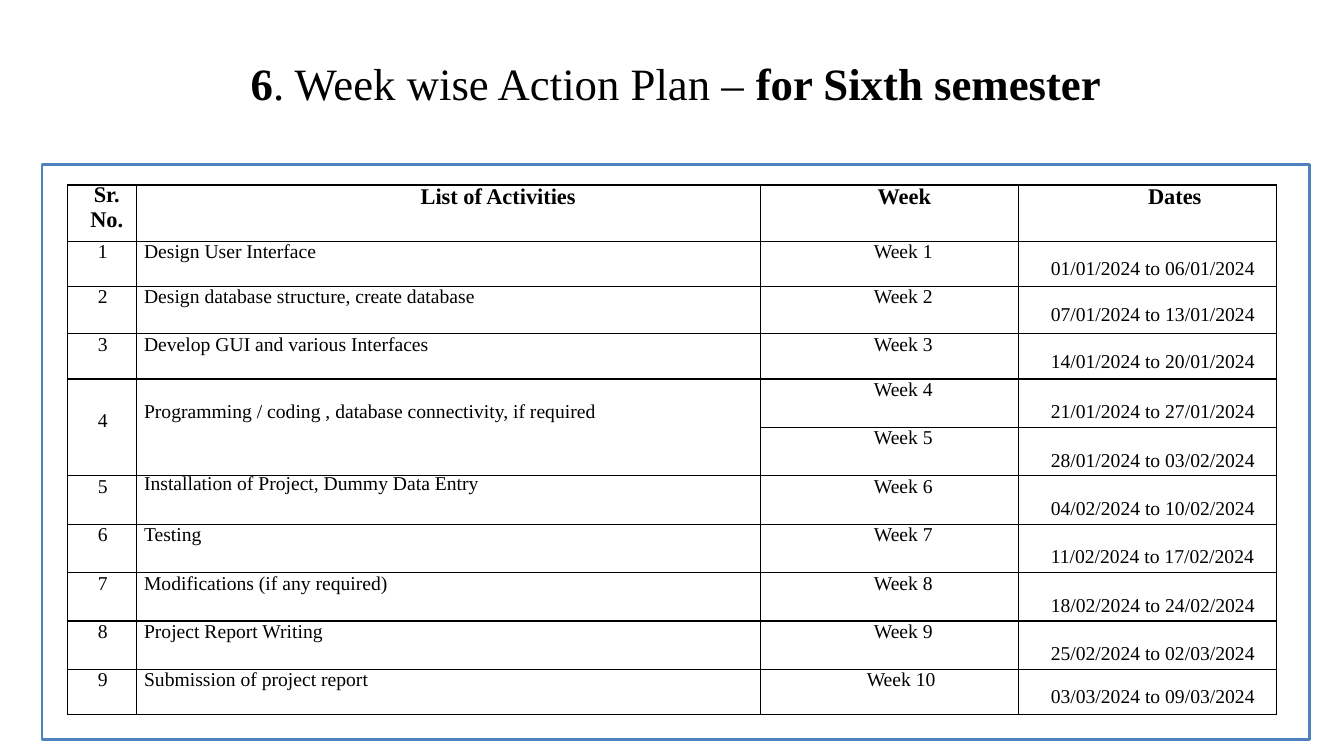
from lxml import etree
from pptx import Presentation, util as u
from pptx.dml.color import RGBColor
from pptx.enum import shapes, text
from pptx.oxml.ns import qn

BLACK = RGBColor(0, 0, 0)
BLUE = RGBColor(0x4F, 0x81, 0xBD)
FONT = "Times New Roman"
LEFT, CENTER = text.PP_ALIGN.LEFT, text.PP_ALIGN.CENTER

HEADERS = [("Sr.\nNo.", 0.23), ("List of Activities", 2.49),
           ("Week", 0.74), ("Dates", 1.37)]
ACTIVITIES = [
    "Design User Interface",
    "Design database structure, create database",
    "Develop GUI and various Interfaces",
    "Programming / coding , database connectivity, if required",
    "",
    "Installation of Project, Dummy Data Entry",
    "Testing",
    "Modifications (if any required)",
    "Project Report Writing",
    "Submission of project report",
]
DATES = [
    "01/01/2024 to 06/01/2024", "07/01/2024 to 13/01/2024",
    "14/01/2024 to 20/01/2024", "21/01/2024 to 27/01/2024",
    "28/01/2024 to 03/02/2024", "04/02/2024 to 10/02/2024",
    "11/02/2024 to 17/02/2024", "18/02/2024 to 24/02/2024",
    "25/02/2024 to 02/03/2024", "03/03/2024 to 09/03/2024",
]
COLUMNS = [1.75, 15.72, 6.5, 6.5]
ROWS = [1.42, 1.14, 1.19, 1.14] + [1.22] * 6 + [1.14]
SPLIT_ROW = 4


def add_run(p, words, size, bold=False):
    r = p.add_run()
    r.text = words
    r.font.name = FONT
    r.font.size = u.Pt(size)
    r.font.bold = bold
    r.font.color.rgb = BLACK


def add_title(s, x, y, w, h):
    tf = s.shapes.add_textbox(u.Cm(x), u.Cm(y), u.Cm(w), u.Cm(h)).text_frame
    tf.word_wrap = True
    tf.vertical_anchor = text.MSO_ANCHOR.MIDDLE
    p = tf.paragraphs[0]
    p.alignment = CENTER
    add_run(p, "6", 32, True)
    add_run(p, ". Week wise Action Plan – ", 32)
    add_run(p, "for Sixth semester", 32, True)


def add_borders(cell):
    tcPr = cell._tc.get_or_add_tcPr()
    for i, side in enumerate(("a:lnL", "a:lnR", "a:lnT", "a:lnB")):
        ln = etree.Element(qn(side), w=str(u.Pt(1)))
        fill = etree.SubElement(ln, qn("a:solidFill"))
        etree.SubElement(fill, qn("a:srgbClr"), val=str(BLACK))
        tcPr.insert(i, ln)


def fill_cell(cell, words, size, align, left=0, top=0, bold=False, spacing=None):
    cell.margin_left, cell.margin_top = u.Cm(left), u.Cm(top)
    cell.margin_right = cell.margin_bottom = 0
    tf = cell.text_frame
    for i, line in enumerate(words.split("\n")):
        p = tf.add_paragraph() if i else tf.paragraphs[0]
        p.alignment = align
        if spacing and i == 0:
            p.line_spacing = u.Pt(spacing)
        add_run(p, line, size, bold)


def add_plan_table(s, x, y, w, h):
    tbl = s.shapes.add_table(len(ROWS), len(COLUMNS), u.Cm(x), u.Cm(y),
                             u.Cm(w), u.Cm(h)).table
    tbl.first_row = tbl.horz_banding = False
    for col, width in zip(tbl.columns, COLUMNS):
        col.width = u.Cm(width)
    for row, height in zip(tbl.rows, ROWS):
        row.height = u.Cm(height)
    for cell in tbl.iter_cells():
        cell.fill.background()
        add_borders(cell)
    for c in (0, 1):
        tbl.cell(SPLIT_ROW, c).merge(tbl.cell(SPLIT_ROW + 1, c))

    for c, (words, left) in enumerate(HEADERS):
        fill_cell(tbl.cell(0, c), words, 16, CENTER, left, bold=True,
                  spacing=16.1 if c == 0 else None)

    number = 0
    for week, (activity, dates) in enumerate(zip(ACTIVITIES, DATES), 1):
        split = week == SPLIT_ROW
        if activity:
            number += 1
            fill_cell(tbl.cell(week, 0), str(number), 14, CENTER, 0.03,
                      0.79 if split else 0)
            fill_cell(tbl.cell(week, 1), activity, 14, LEFT, 0.18,
                      0.56 if split else 0,
                      spacing=13.9 if activity.startswith("Installation") else None)
        fill_cell(tbl.cell(week, 2), f"Week {week}", 14, CENTER,
                  0.58 if week == 10 else 0.69)
        fill_cell(tbl.cell(week, 3), dates, 14, LEFT, 0.81,
                  0.56 if ROWS[week] == 1.22 else 0.43)


def add_plan(s, x, y, w, h):
    sp = s.shapes.add_shape(shapes.MSO_SHAPE.RECTANGLE,
                            u.Cm(x), u.Cm(y), u.Cm(w), u.Cm(h))
    sp.shadow.inherit = False
    sp.fill.background()
    sp.line.color.rgb = BLUE
    sp.line.width = u.Pt(2)
    add_plan_table(s, x + 0.64, y + 0.51, sum(COLUMNS), sum(ROWS))


def main():
    prs = Presentation()
    prs.slide_width, prs.slide_height = u.Cm(33.87), u.Cm(19.05)
    s = prs.slides.add_slide(prs.slide_layouts[6])
    add_title(s, 1.06, 0.76, 31.95, 2.62)
    add_plan(s, 1.06, 4.15, 31.95, 14.48)
    prs.save("out.pptx")


if __name__ == "__main__":
    main()
